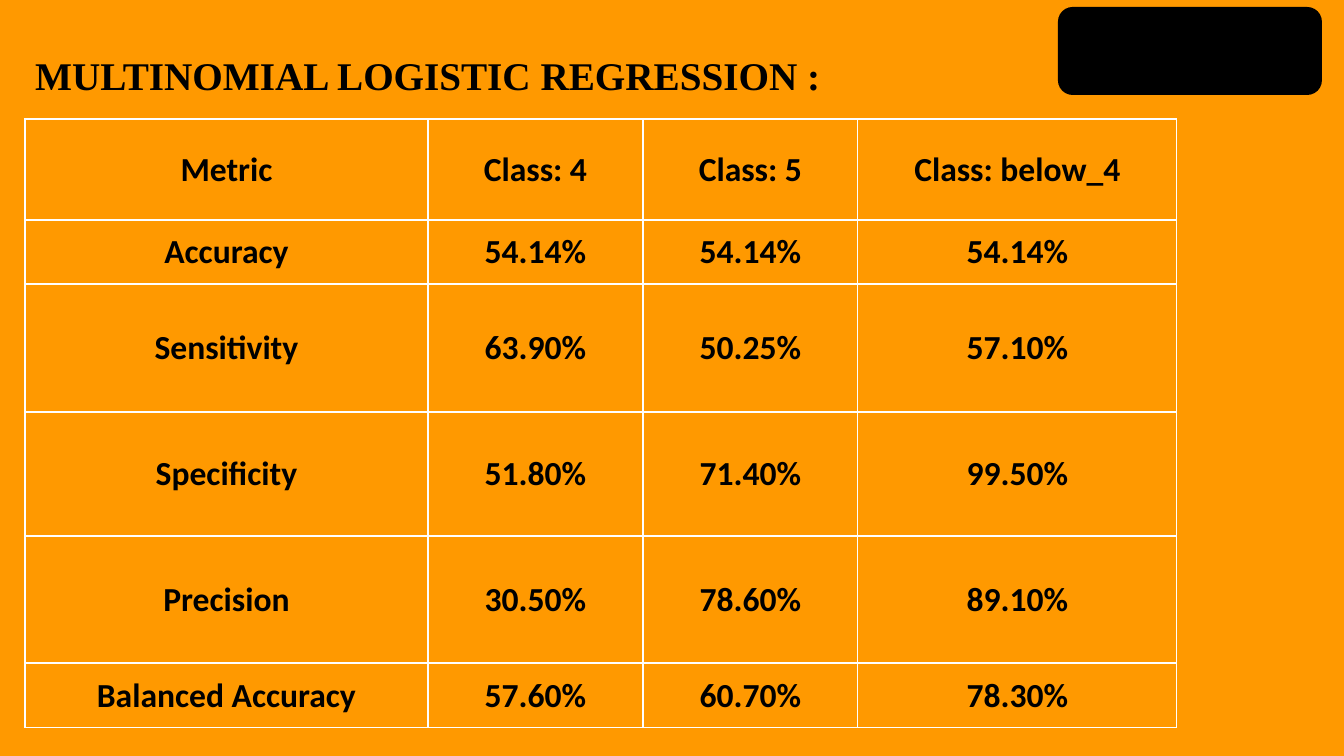
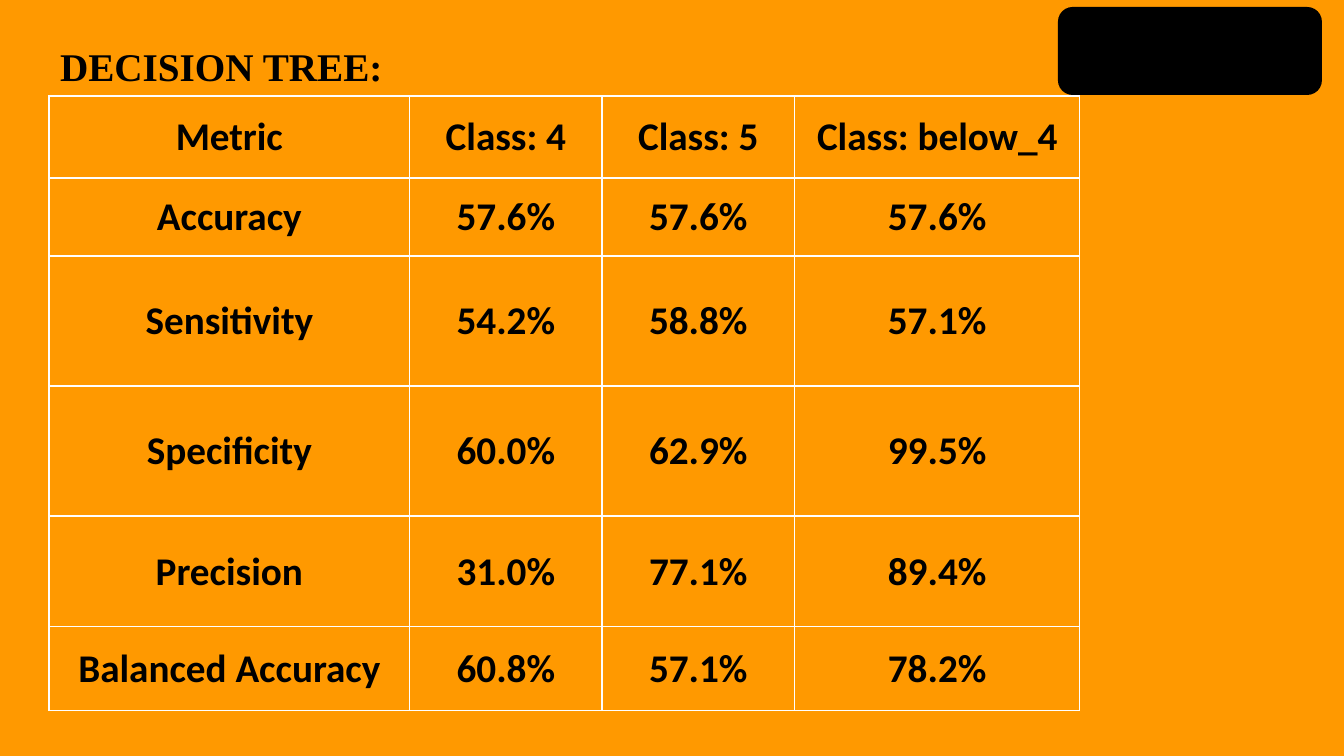
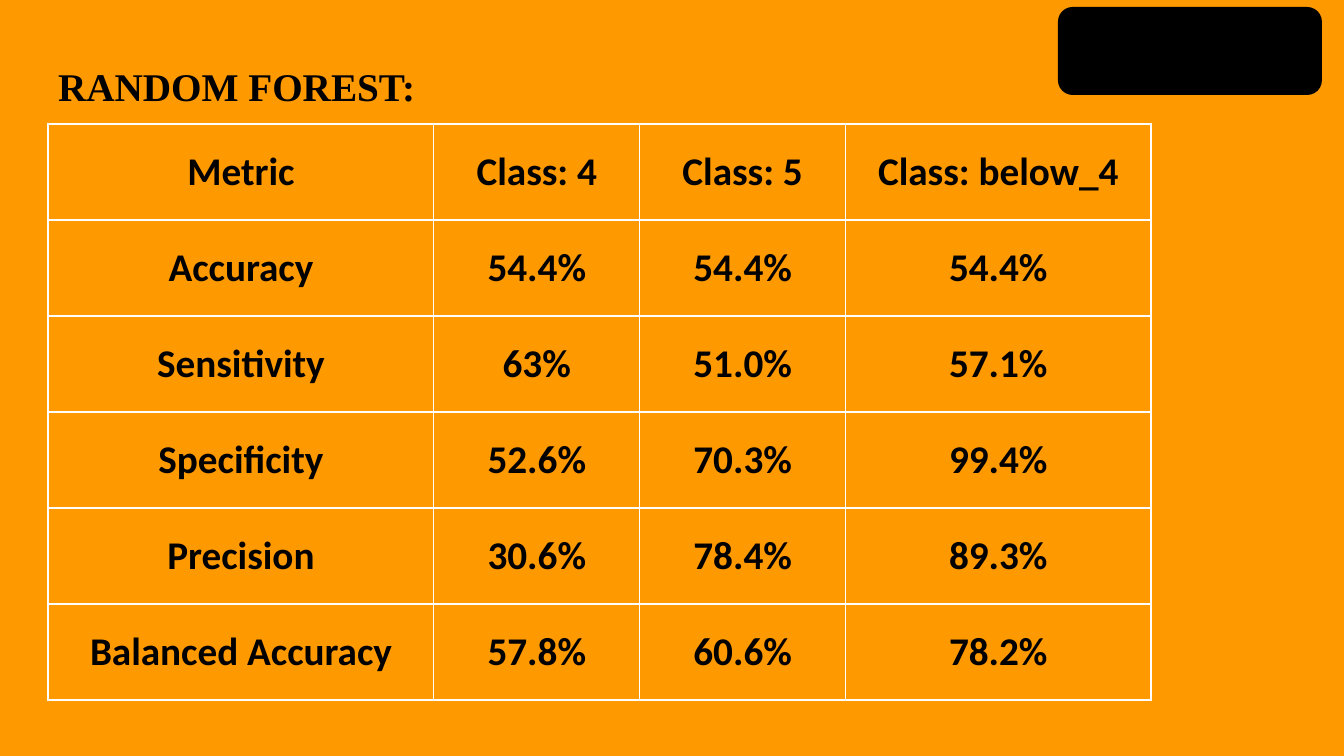
from dataclasses import dataclass

from lxml import etree
from pptx import Presentation
from pptx.dml.color import RGBColor
from pptx.enum import shapes, text
from pptx.oxml import ns
from pptx.util import Emu, Pt

SLIDE = (1344, 756)
SCALE = 12192000 / 1344
BADGE = (1058, 7, 264, 88)
TITLE_HEIGHT = 74
COLUMN_SHARES = (403, 215, 215, 319)
HEADER = ("Metric", "Class: 4", "Class: 5", "Class: below_4")
METRICS = ("Accuracy", "Sensitivity", "Specificity", "Precision", "Balanced Accuracy")


@dataclass(frozen=True)
class Theme:
    back: str = "FF9900"
    ink: str = "000000"
    grid: str = "FFFFFF"
    title_font: str = "Times New Roman"
    table_font: str = "Calibri"
    title_size: int = 28
    grid_width: int = 1


THEME = Theme()

MODELS = [
    {
        "title": "MULTINOMIAL LOGISTIC REGRESSION :",
        "title_at": (25, 23, 837),
        "table_at": (25, 119, 1152),
        "rows": (101, 64, 128, 124, 127, 65),
        "size": 24,
        "values": [
            ("54.14%", "54.14%", "54.14%"),
            ("63.90%", "50.25%", "57.10%"),
            ("51.80%", "71.40%", "99.50%"),
            ("30.50%", "78.60%", "89.10%"),
            ("57.60%", "60.70%", "78.30%"),
        ],
    },
    {
        "title": "DECISION TREE:",
        "title_at": (50, 14, 515),
        "table_at": (49, 96, 1031),
        "rows": (82, 78, 130, 130, 111, 84),
        "size": 28,
        "values": [
            ("57.6%", "57.6%", "57.6%"),
            ("54.2%", "58.8%", "57.1%"),
            ("60.0%", "62.9%", "99.5%"),
            ("31.0%", "77.1%", "89.4%"),
            ("60.8%", "57.1%", "78.2%"),
        ],
    },
    {
        "title": "RANDOM FOREST:",
        "title_at": (48, 34, 453),
        "table_at": (48, 124, 1103),
        "rows": (96,) * 6,
        "size": 28,
        "values": [
            ("54.4%", "54.4%", "54.4%"),
            ("63%", "51.0%", "57.1%"),
            ("52.6%", "70.3%", "99.4%"),
            ("30.6%", "78.4%", "89.3%"),
            ("57.8%", "60.6%", "78.2%"),
        ],
    },
]


def px(value):
    return Emu(round(value * SCALE))


def paint(fill, color):
    fill.solid()
    fill.fore_color.rgb = RGBColor.from_string(color)


def style(p, font, size, align):
    p.alignment = align
    p.font.name = font
    p.font.size = Pt(size)
    p.font.bold = True
    p.font.color.rgb = RGBColor.from_string(THEME.ink)


def add_title(slide, title, at):
    left, top, width = at
    sp = slide.shapes.title
    sp.left, sp.top, sp.width, sp.height = map(px, (left, top, width, TITLE_HEIGHT))
    tf = sp.text_frame
    tf.text = title
    tf.word_wrap = True
    tf.auto_size = text.MSO_AUTO_SIZE.SHAPE_TO_FIT_TEXT
    tf.vertical_anchor = text.MSO_ANCHOR.TOP
    p = tf.paragraphs[0]
    p.line_spacing = 1.5
    style(p, THEME.title_font, THEME.title_size, text.PP_ALIGN.JUSTIFY)


def add_badge(slide):
    sp = slide.shapes.add_shape(shapes.MSO_SHAPE.ROUNDED_RECTANGLE, *map(px, BADGE))
    sp.shadow.inherit = False
    paint(sp.fill, THEME.ink)
    sp.line.fill.background()


def add_borders(cell):
    tc_pr = cell._tc.get_or_add_tcPr()
    for side in ("lnL", "lnR", "lnT", "lnB"):
        ln = etree.SubElement(tc_pr, ns.qn(f"a:{side}"), w=str(Pt(THEME.grid_width)))
        fill = etree.SubElement(ln, ns.qn("a:solidFill"))
        etree.SubElement(fill, ns.qn("a:srgbClr"), val=THEME.grid)


def fill_cell(cell, value, size):
    add_borders(cell)
    paint(cell.fill, THEME.back)
    cell.margin_left = cell.margin_right = cell.margin_top = px(1)
    cell.margin_bottom = 0
    cell.vertical_anchor = text.MSO_ANCHOR.MIDDLE
    cell.text = value
    style(cell.text_frame.paragraphs[0], THEME.table_font, size, text.PP_ALIGN.CENTER)


def add_metrics(slide, model):
    left, top, width = model["table_at"]
    heights = model["rows"]
    grid = [HEADER] + [(name, *row) for name, row in zip(METRICS, model["values"])]
    table = slide.shapes.add_table(
        len(grid), len(HEADER), *map(px, (left, top, width, sum(heights)))
    ).table
    for column, share in zip(table.columns, COLUMN_SHARES):
        column.width = px(width * share / sum(COLUMN_SHARES))
    for row, height, values in zip(table.rows, heights, grid):
        row.height = px(height)
        for cell, value in zip(row.cells, values):
            fill_cell(cell, value, model["size"])


def main():
    prs = Presentation()
    prs.slide_width, prs.slide_height = map(px, SLIDE)
    paint(prs.slide_master.background.fill, THEME.back)
    for model in MODELS:
        slide = prs.slides.add_slide(prs.slide_layouts[5])
        add_title(slide, model["title"], model["title_at"])
        add_badge(slide)
        add_metrics(slide, model)
    prs.save("out.pptx")


if __name__ == "__main__":
    main()
